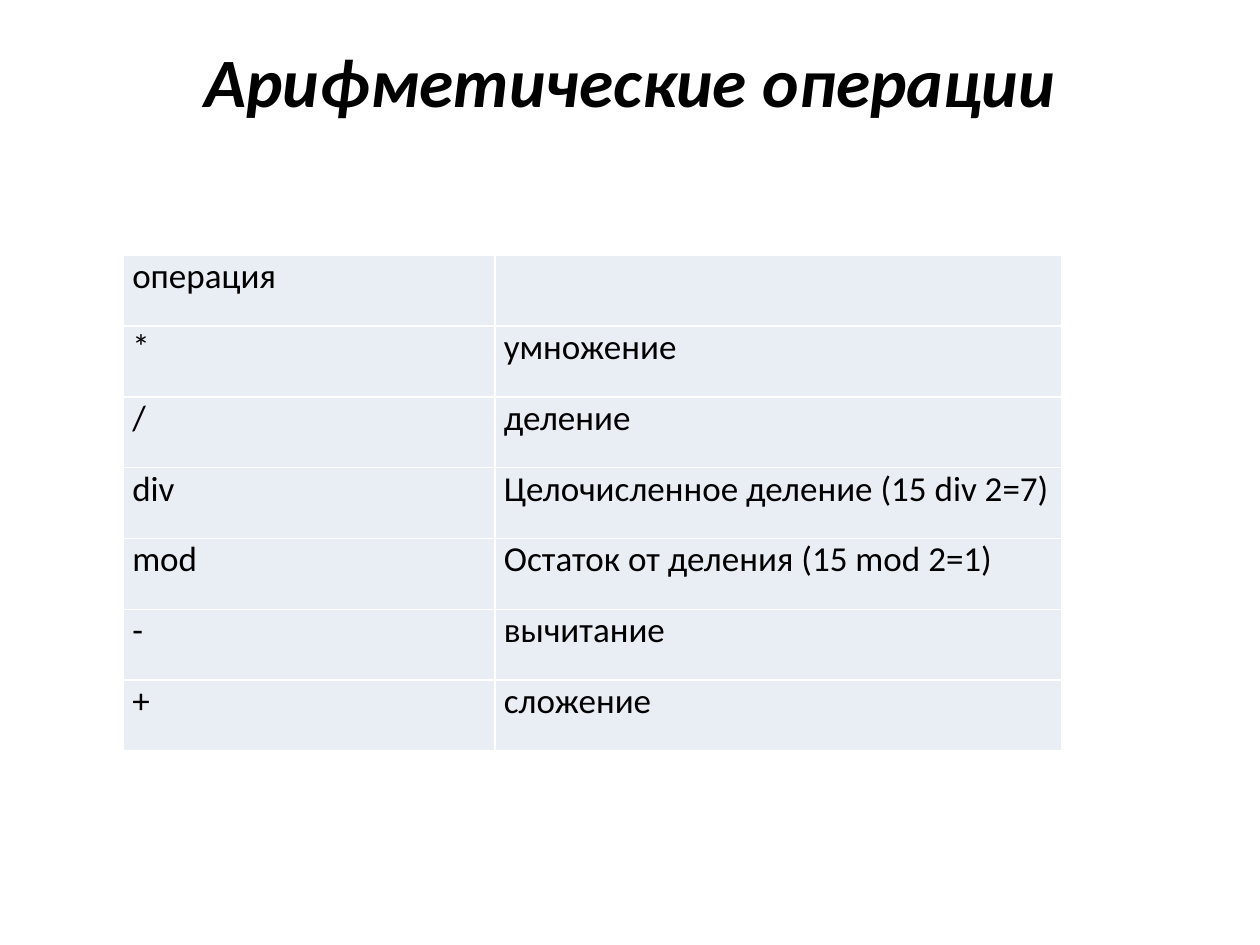
from lxml.etree import SubElement
from pptx import Presentation
from pptx.dml.color import RGBColor
from pptx.enum.text import MSO_ANCHOR as Anchor, PP_ALIGN as Align
from pptx.oxml.ns import qn
from pptx.util import Inches, Pt

COLORS = {"text": "000000", "cell": "E9EDF4", "border": "FFFFFF"}
OPERATIONS = [
    ("операция", ""),
    ("*", "умножение"),
    ("/", "деление"),
    ("div", "Целочисленное деление (15 div 2=7)"),
    ("mod", "Остаток от деления (15 mod 2=1)"),
    ("-", "вычитание"),
    ("+", "сложение"),
]


class Deck:
    font = "Calibri"

    def __init__(self, width, height):
        self.prs = Presentation()
        self.prs.slide_width, self.prs.slide_height = Inches(width), Inches(height)
        self.s = None

    def add_slide(self):
        self.s = self.prs.slides.add_slide(self.prs.slide_layouts[5])

    def x(self, share):
        return round(self.prs.slide_width * share)

    def y(self, share):
        return round(self.prs.slide_height * share)

    def style(self, p, size, align, bold=False, italic=False):
        p.alignment = align
        p.font.name, p.font.size = self.font, Pt(size)
        p.font.bold, p.font.italic = bold, italic
        p.font.color.rgb = RGBColor.from_string(COLORS["text"])

    def title(self, text, left, top, width, height, size):
        sp = self.s.shapes.title
        sp.left, sp.top = self.x(left), self.y(top)
        sp.width, sp.height = self.x(width), self.y(height)
        tf = sp.text_frame
        tf.text, tf.word_wrap = text, True
        tf.vertical_anchor, tf.margin_top = Anchor.TOP, 0
        self.style(tf.paragraphs[0], size, Align.CENTER, bold=True, italic=True)

    def borders(self, cell, width):
        tc_pr = cell._tc.get_or_add_tcPr()
        for i, side in enumerate(("lnL", "lnR", "lnT", "lnB")):
            ln = tc_pr.makeelement(qn(f"a:{side}"), {"w": str(Pt(width))})
            fill = SubElement(ln, qn("a:solidFill"))
            SubElement(fill, qn("a:srgbClr"), val=COLORS["border"])
            tc_pr.insert(i, ln)  # borders come before the cell fill

    def table(self, rows, left, top, widths, row_height, size):
        frame = self.s.shapes.add_table(
            len(rows), len(widths), self.x(left), self.y(top),
            self.x(sum(widths)), self.y(row_height * len(rows)))
        table = frame.table
        for column, width in zip(table.columns, widths):
            column.width = self.x(width)
        for r, row in enumerate(rows):
            for c, text in enumerate(row):
                cell = table.cell(r, c)
                cell.text = text
                cell.margin_left = cell.margin_right = Inches(0.07)
                cell.margin_top = cell.margin_bottom = 0
                cell.fill.solid()
                cell.fill.fore_color.rgb = RGBColor.from_string(COLORS["cell"])
                self.style(cell.text_frame.paragraphs[0], size, Align.JUSTIFY)
                self.borders(cell, 1)


def main():
    deck = Deck(10, 7.5)
    deck.add_slide()
    # Heading
    deck.title("Арифметические операции", 0.05, 0.04, 0.9, 1 / 6, 39.6)
    # Operators and their meanings
    deck.table(OPERATIONS, 0.098, 0.27, (0.295, 0.45), 0.075, 20)
    deck.prs.save("out.pptx")


if __name__ == "__main__":
    main()
